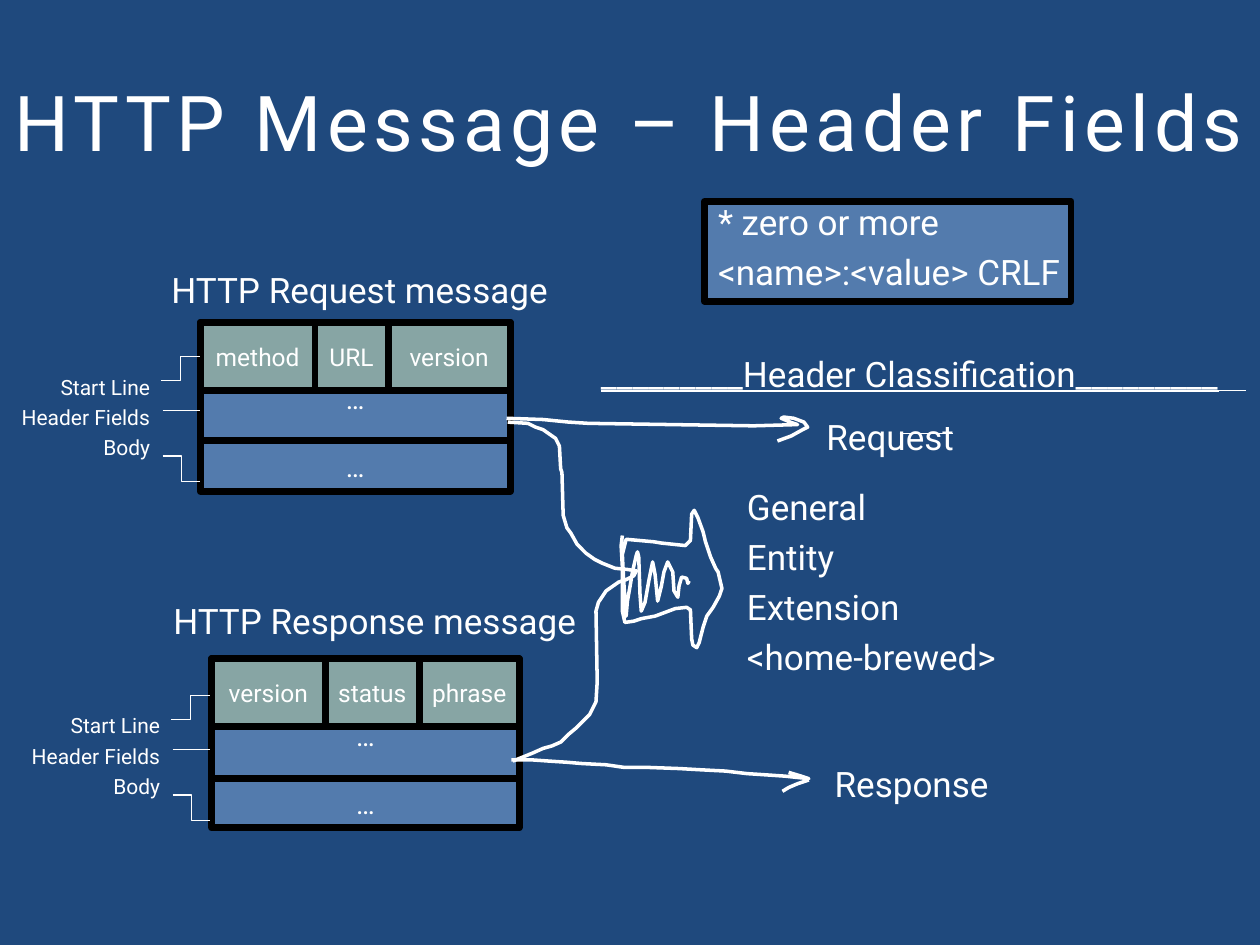
from dataclasses import dataclass

from lxml import etree
from pptx import Presentation
from pptx.dml.color import RGBColor
from pptx.enum.shapes import MSO_CONNECTOR, MSO_SHAPE
from pptx.enum.text import MSO_ANCHOR, MSO_AUTO_SIZE, PP_ALIGN
from pptx.oxml.ns import qn
from pptx.util import Inches, Pt

STRAIGHT, ELBOW = MSO_CONNECTOR.STRAIGHT, MSO_CONNECTOR.ELBOW
LEFT, CENTER, RIGHT = PP_ALIGN.LEFT, PP_ALIGN.CENTER, PP_ALIGN.RIGHT
FONT = "Roboto"
NAVY, WHITE, BLACK = "1F497D", "FFFFFF", "000000"
BLUE, GREEN = "8EB4E3", "C3D69B"
CELL_H = 0.54


@dataclass
class Message:
    title: str
    title_box: tuple
    x: float
    y: float
    header_h: float
    body_h: float
    cells: list  # (name, width)
    mark: tuple  # reference point of the side labels


@dataclass
class Caption:
    lines: list
    box: tuple
    align: PP_ALIGN = LEFT
    underline: bool = False


MESSAGES = [
    Message("HTTP Request message", (0.93, 2.08, 3.85, 0.84), 1.59, 2.56, 0.94, 0.4,
            [("method", 0.91), ("URL", 0.58), ("version", 0.97)], (1.59, 2.56)),
    Message("HTTP Response message", (1.08, 4.71, 3.79, 0.83), 1.68, 5.23, 0.95, 0.39,
            [("version", 0.9), ("status", 0.75), ("phrase", 0.79)], (1.67, 5.25)),
]
LABELS = ["Start Line", "Header Fields", "Body"]
# Offsets from the reference point: connector type, start, end
MARKS = [(ELBOW, (-0.31, 0.46), (0, 0.27)),
         (STRAIGHT, (-0.3, 0.7), (0, 0.7)),
         (ELBOW, (-0.3, 1.06), (0, 1.26))]

CAPTIONS = [
    Caption(["* zero or more", "<name>:<value> CRLF"], (5.6, 1.54, 3.85, 0.84)),
    Caption(["General", "Entity", "Extension", "<home-brewed>"], (5.83, 3.8, 2.43, 1.79)),
    Caption(["_________Header Classification_________"], (4.67, 2.75, 5.33, 0.54),
            underline=True),
    Caption(["Request"], (6.22, 3.25, 1.69, 0.42), CENTER),
    Caption(["Response"], (6.39, 6, 1.69, 0.42), CENTER),
]
# Ends of the heading's underline
RULES = [((9.67, 3.1), (9.89, 3.1)), ((7.14, 3.44), (7.56, 3.44))]

RESPONSE_ARROW = [
    (4.06, 6.03), (4.21, 6.03), (4.35, 6.04), (4.5, 6.05), (4.62, 6.06), (4.81, 6.07),
    (4.95, 6.09), (5.12, 6.09), (5.39, 6.1), (5.57, 6.11), (5.76, 6.12), (5.93, 6.14),
    (6.08, 6.15), (6.23, 6.16), (6.42, 6.18), (6.36, 6.16), (6.26, 6.13)]
RESPONSE_BARB = [(6.42, 6.19), (6.33, 6.22), (6.26, 6.25), (6.21, 6.28)]
REQUEST_ARROW = [
    (4.02, 3.32), (4.31, 3.33), (4.51, 3.35), (4.67, 3.36), (5.98, 3.38), (6.33, 3.37),
    (6.27, 3.35), (6.2, 3.32), (6.22, 3.31), (6.3, 3.32), (6.38, 3.35), (6.41, 3.39),
    (6.37, 3.41), (6.28, 3.46), (6.17, 3.5)]
JOINING_CURVE = [
    (4.03, 3.35), (4.19, 3.36), (4.25, 3.39), (4.31, 3.41), (4.41, 3.48), (4.44, 3.54),
    (4.45, 3.72), (4.46, 3.75), (4.47, 4.09), (4.5, 4.19), (4.53, 4.23), (4.58, 4.32),
    (4.65, 4.39), (4.72, 4.44), (4.78, 4.47), (4.88, 4.51), (4.98, 4.52), (5.05, 4.53),
    (5.03, 4.57), (4.97, 4.6), (4.91, 4.62), (4.81, 4.69), (4.75, 4.78), (4.73, 4.85),
    (4.74, 5.41), (4.73, 5.57), (4.68, 5.67), (4.65, 5.7), (4.57, 5.78), (4.51, 5.83),
    (4.45, 5.89), (4.38, 5.92), (4.31, 5.94), (4.22, 5.98), (4.12, 6.02), (4.07, 6.04)]
BLOCK_ARROW = [
    (4.94, 4.25), (4.93, 4.33), (4.94, 4.5), (4.94, 4.85), (4.96, 4.94), (5.03, 4.93),
    (5.09, 4.91), (5.2, 4.89), (5.36, 4.83), (5.45, 4.82), (5.48, 4.84), (5.49, 5.07),
    (5.5, 5.12), (5.53, 5.14), (5.55, 5.1), (5.58, 4.98), (5.61, 4.89), (5.66, 4.82),
    (5.71, 4.73), (5.73, 4.67), (5.7, 4.54), (5.68, 4.51), (5.64, 4.42), (5.6, 4.3),
    (5.58, 4.22), (5.54, 4.11), (5.51, 4.05), (5.49, 4.08), (5.48, 4.29), (5.44, 4.33),
    (5.25, 4.31), (5.19, 4.3), (4.97, 4.28), (4.94, 4.4), (4.95, 4.6), (4.97, 4.89),
    (4.98, 4.77), (5, 4.66), (5.02, 4.54), (5.05, 4.41), (5.06, 4.38), (5.07, 4.42),
    (5.08, 4.72), (5.09, 4.85), (5.12, 4.78), (5.15, 4.61), (5.18, 4.46), (5.2, 4.56),
    (5.22, 4.77), (5.25, 4.65), (5.27, 4.54), (5.3, 4.46), (5.34, 4.54), (5.35, 4.69),
    (5.38, 4.74), (5.39, 4.65), (5.41, 4.58), (5.45, 4.59), (5.46, 4.63), (5.47, 4.61)]
STROKES = [RESPONSE_ARROW, REQUEST_ARROW, RESPONSE_BARB, JOINING_CURVE, BLOCK_ARROW]


def rgb(color: str) -> RGBColor:
    return RGBColor.from_string(color)


def write(tf, lines: list, size: float, align: PP_ALIGN, underline: bool = False) -> None:
    tf.text = "\n".join(lines)
    for i, p in enumerate(tf.paragraphs):
        p.alignment = align
        p.space_before = Pt(round(size * 0.23, 1) if i else 0)
        for r in p.runs:
            r.font.name, r.font.size = FONT, Pt(size)
            r.font.color.rgb = rgb(WHITE)
            r.font.underline = underline


def add_text(s, lines: list, box: tuple, size: float, align: PP_ALIGN,
             underline: bool = False) -> None:
    tf = s.shapes.add_textbox(*map(Inches, box)).text_frame
    tf.word_wrap = True
    write(tf, lines, size, align, underline)


def add_block(s, box: tuple, color: str, text: str = "", size: float = 16,
              top: float = 0.05) -> None:
    sp = s.shapes.add_shape(MSO_SHAPE.ROUNDED_RECTANGLE, *map(Inches, box))
    sp.adjustments[0] = 0
    sp.shadow.inherit = False
    sp.fill.solid()
    sp.fill.fore_color.rgb = rgb(color)
    clr = sp.fill._xPr.find(qn("a:solidFill"))[0]
    etree.SubElement(clr, qn("a:alpha")).set("val", "47000")
    sp.line.color.rgb, sp.line.width = rgb(BLACK), Pt(4)
    if text:
        tf = sp.text_frame
        tf.word_wrap = False
        tf.vertical_anchor = MSO_ANCHOR.MIDDLE
        tf.margin_top = Inches(top)
        write(tf, [text], size, CENTER)


def add_line(s, kind: MSO_CONNECTOR, start: tuple, end: tuple, width: float = 0.75) -> None:
    cx = s.shapes.add_connector(kind, *map(Inches, start + end))
    cx.line.color.rgb, cx.line.width = rgb(WHITE), Pt(width)
    etree.SubElement(cx._element.spPr, qn("a:effectLst"))


def add_stroke(s, points: list) -> None:
    start, *rest = [(Inches(x), Inches(y)) for x, y in points]
    builder = s.shapes.build_freeform(*start)
    builder.add_line_segments(rest, close=False)
    sp = builder.convert_to_shape()
    sp.shadow.inherit = False
    sp.fill.background()
    sp.line.color.rgb, sp.line.width = rgb(WHITE), Pt(2)


def add_message(s, m: Message) -> None:
    add_text(s, [m.title], m.title_box, 20, CENTER)
    width = sum(w for _, w in m.cells)
    # Header and body rows, then the start line cells on top
    add_block(s, (m.x, m.y, width, m.header_h), BLUE, "…", top=0.31)
    add_block(s, (m.x, m.y + m.header_h, width, m.body_h), BLUE, "…")
    x = m.x
    for name, w in m.cells:
        add_block(s, (x, m.y, w, CELL_H), GREEN, name, 14)
        x += w
    # Side labels and their connectors
    mx, my = m.mark
    add_text(s, LABELS, (mx - 2.34, my + 0.36, 2.04, 1.47), 12, RIGHT)
    for kind, (x1, y1), (x2, y2) in MARKS:
        add_line(s, kind, (mx + x1, my + y1), (mx + x2, my + y2))


def main() -> None:
    prs = Presentation()
    prs.slide_width, prs.slide_height = Inches(10), Inches(7.5)
    s = prs.slides.add_slide(prs.slide_layouts[5])
    s.background.fill.solid()
    s.background.fill.fore_color.rgb = rgb(NAVY)

    # Title
    title = s.shapes.title
    title.left, title.top, title.width, title.height = map(Inches, (0, 0.33, 10, 1.25))
    tf = title.text_frame
    tf.auto_size = MSO_AUTO_SIZE.NONE
    tf.vertical_anchor = MSO_ANCHOR.MIDDLE
    write(tf, ["HTTP Message – Header Fields"], 44, CENTER)
    tf.paragraphs[0].runs[0]._r.get_or_add_rPr().set("spc", "300")

    # Field syntax box, messages and captions
    add_block(s, (5.59, 1.6, 2.91, 0.79), BLUE)
    for m in MESSAGES:
        add_message(s, m)
    for c in CAPTIONS:
        add_text(s, c.lines, c.box, 20, c.align, c.underline)
    for start, end in RULES:
        add_line(s, STRAIGHT, start, end, 1)

    # Hand-drawn arrows
    for points in STROKES:
        add_stroke(s, points)

    prs.save("out.pptx")


if __name__ == "__main__":
    main()
